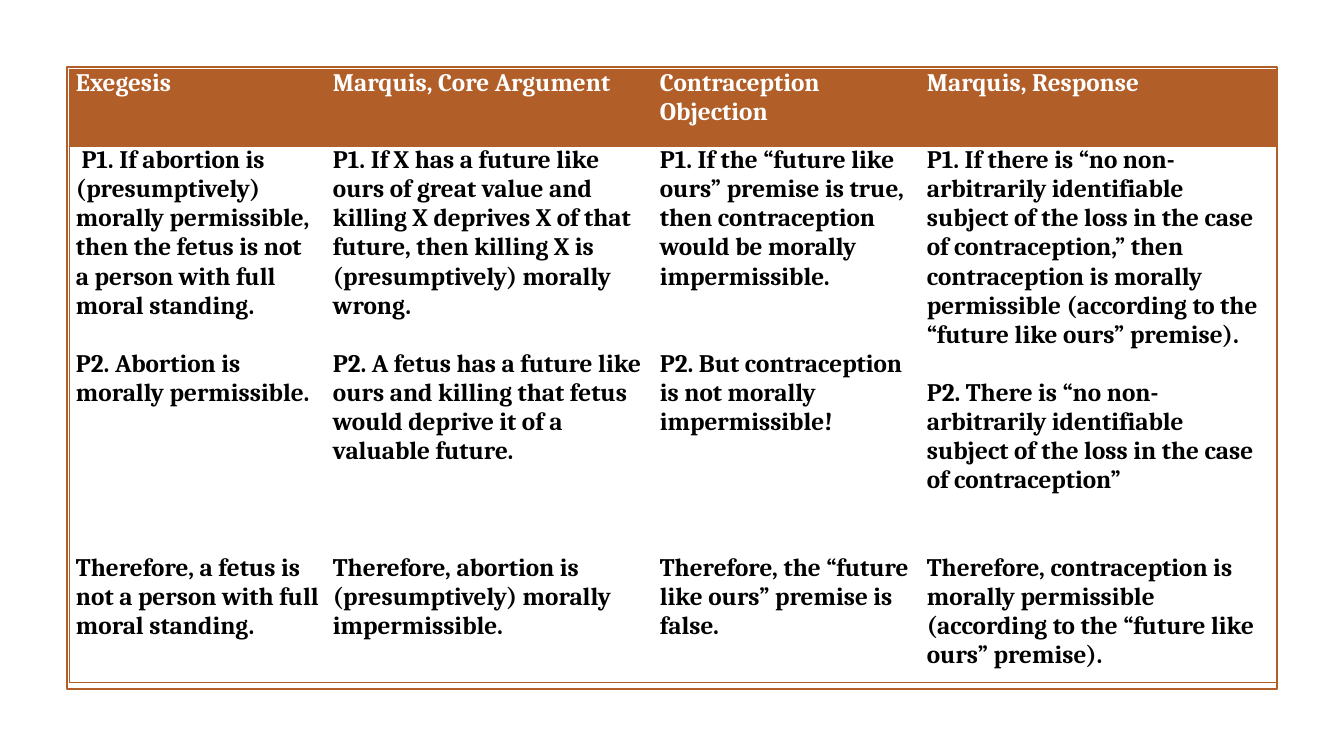
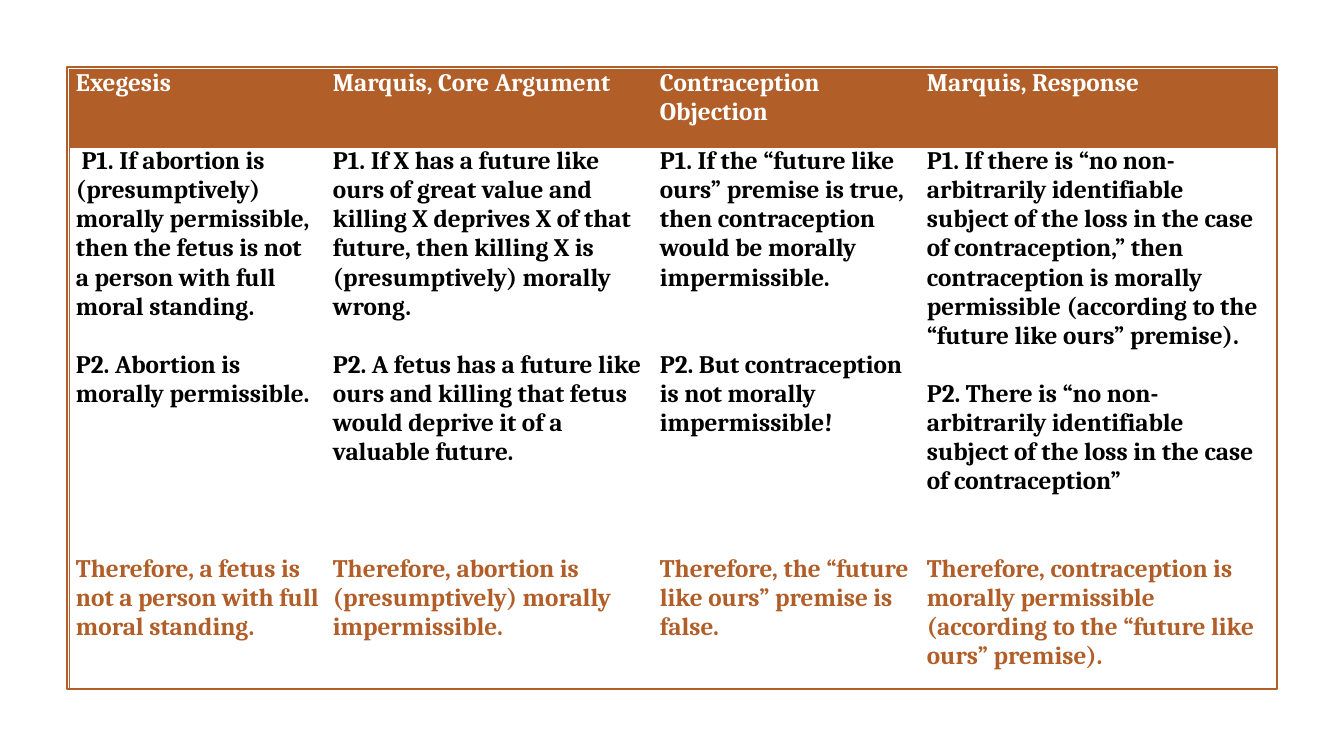
from lxml import etree
from pptx import Presentation
from pptx.dml.color import RGBColor
from pptx.enum.shapes import MSO_SHAPE
from pptx.oxml.ns import qn
from pptx.util import Emu, Pt

PX = 914400 / 100.8
RUST = RGBColor(0xB1, 0x5E, 0x28)
WHITE = RGBColor(0xFF, 0xFF, 0xFF)
BLACK = RGBColor(0x00, 0x00, 0x00)
FONT = "Cambria"
TEXT_SIZE = Pt(18)
LINE_HEIGHT = 20.8
PLAIN_TABLE_STYLE = "{2D5ABB26-0587-4C30-8999-92F81FD0307C}"

FRAME_BOX = (67, 67, 1210, 622)
TABLE_ORIGIN = (69, 69)
COLUMN_WIDTHS = (257, 327, 267, 357)

# Each argument: heading, then (blank lines above, text) for premises and conclusion.
ARGUMENTS = [
    ("Exegesis", [
        (0, " P1. If abortion is (presumptively) morally permissible, then the fetus "
            "is not a person with full moral standing. "),
        (1, "P2. Abortion is morally permissible."),
        (5, "Therefore, a fetus is not a person with full moral standing. ")]),
    ("Marquis, Core Argument", [
        (0, "P1. If X has a future like ours of great value and killing X deprives X "
            "of that future, then killing X is (presumptively) morally wrong."),
        (1, "P2. A fetus has a future like ours and killing that fetus would deprive "
            "it of a valuable future. "),
        (3, "Therefore, abortion is (presumptively) morally impermissible. ")]),
    ("Contraception Objection", [
        (0, "P1. If the “future like ours” premise is true, then contraception would "
            "be morally impermissible. "),
        (2, "P2. But contraception is not morally impermissible!"),
        (4, "Therefore, the “future like ours” premise is false.")]),
    ("Marquis, Response", [
        (0, "P1. If there is “no non-arbitrarily identifiable subject of the loss in "
            "the case of contraception,” then contraception is morally permissible "
            "(according to the “future like ours” premise). "),
        (1, "P2. There is “no non-arbitrarily identifiable subject of the loss in the "
            "case of contraception”"),
        (2, "Therefore, contraception is morally permissible (according to the "
            "“future like ours” premise).")]),
]


def px(length):
    """Turn pixels into EMU."""
    return Emu(round(length * PX))


def add_frame(slide, box):
    """Draw the thin outline around the slide's content."""
    frame = slide.shapes.add_shape(MSO_SHAPE.RECTANGLE, *map(px, box))
    frame.shadow.inherit = False
    frame.fill.background()
    frame.line.color.rgb = RUST
    frame.line.width = Pt(1.25)


def write(paragraph, text, color):
    """Put bold text into a paragraph."""
    run = paragraph.add_run()
    run.text = text
    run.font.name, run.font.size, run.font.bold = FONT, TEXT_SIZE, True
    run.font.color.rgb = color


def style_cell(cell, sides):
    """Set the margins of a cell and rule the given sides."""
    cell.margin_left = cell.margin_right = px(7)
    cell.margin_top = cell.margin_bottom = 0
    properties = cell._tc.get_or_add_tcPr()
    for side in sides:
        line = etree.SubElement(properties, qn(f"a:ln{side}"), w=str(Pt(0.75)))
        fill = etree.SubElement(line, qn("a:solidFill"))
        etree.SubElement(fill, qn("a:srgbClr"), val=str(RUST))


def add_argument_table(slide, origin, row_heights, conclusion_color):
    """Lay out one argument per column under a filled heading row."""
    size = (sum(COLUMN_WIDTHS), sum(row_heights))
    shape = slide.shapes.add_table(2, len(ARGUMENTS), *map(px, origin + size))
    shape.element.find(".//" + qn("a:tableStyleId")).text = PLAIN_TABLE_STYLE
    table = shape.table
    for row, height in zip(table.rows, row_heights):
        row.height = px(height)
    last = len(ARGUMENTS) - 1
    for index, (heading, steps) in enumerate(ARGUMENTS):
        table.columns[index].width = px(COLUMN_WIDTHS[index])
        outer = "L" * (index == 0) + "R" * (index == last)
        head, body = table.cell(0, index), table.cell(1, index)
        style_cell(head, outer + "TB")
        head.fill.solid()
        head.fill.fore_color.rgb = RUST
        write(head.text_frame.paragraphs[0], heading, WHITE)
        style_cell(body, outer + "TB")
        body.fill.background()
        for number, (gap, text) in enumerate(steps):
            frame = body.text_frame
            paragraph = frame.add_paragraph() if number else frame.paragraphs[0]
            paragraph.space_before = Pt(gap * LINE_HEIGHT)
            is_conclusion = number == len(steps) - 1
            write(paragraph, text, conclusion_color if is_conclusion else BLACK)


def add_argument_slide(deck, row_heights, conclusion_color):
    """Add a framed slide that compares the arguments."""
    slide = deck.slides.add_slide(deck.slide_layouts[6])
    add_frame(slide, FRAME_BOX)
    add_argument_table(slide, TABLE_ORIGIN, row_heights, conclusion_color)


def main():
    """Build and save the deck."""
    deck = Presentation()
    deck.slide_width, deck.slide_height = px(1344), px(756)
    add_argument_slide(deck, (77, 536), BLACK)
    add_argument_slide(deck, (78, 542), RUST)
    deck.save("out.pptx")


main()
